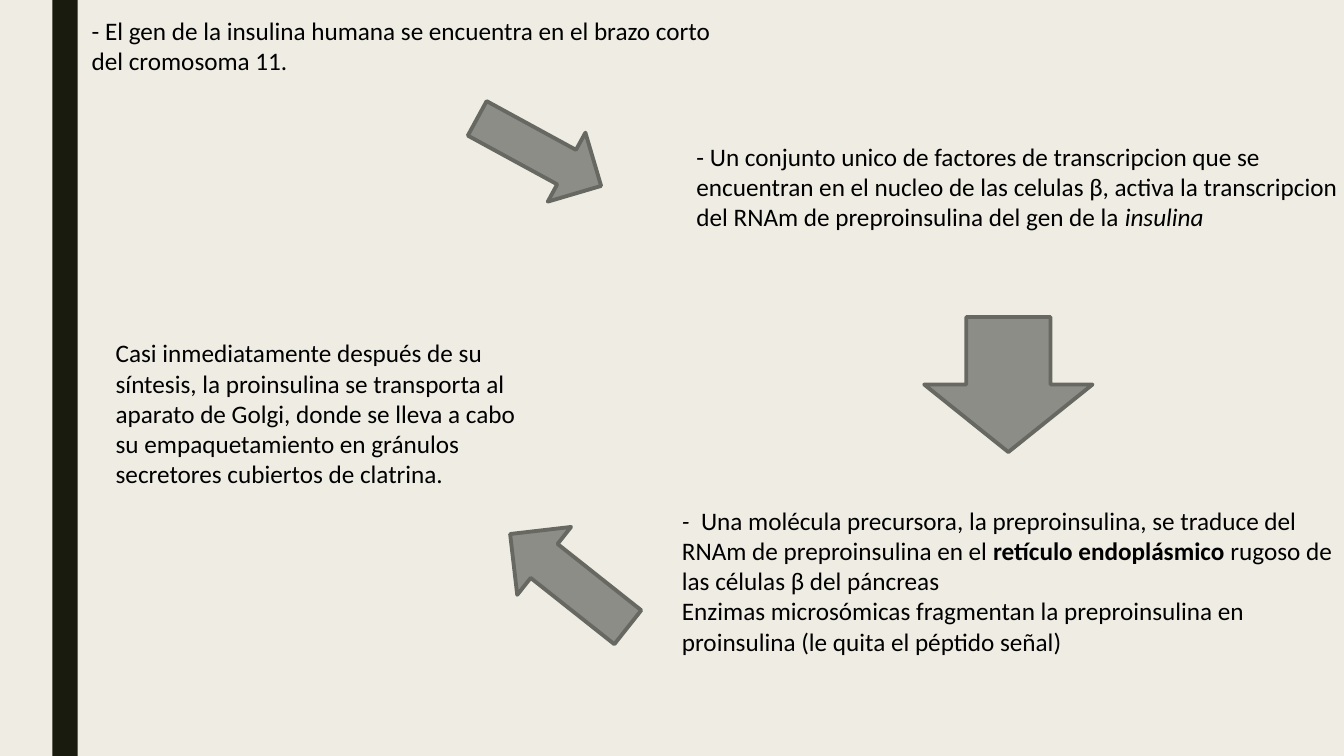
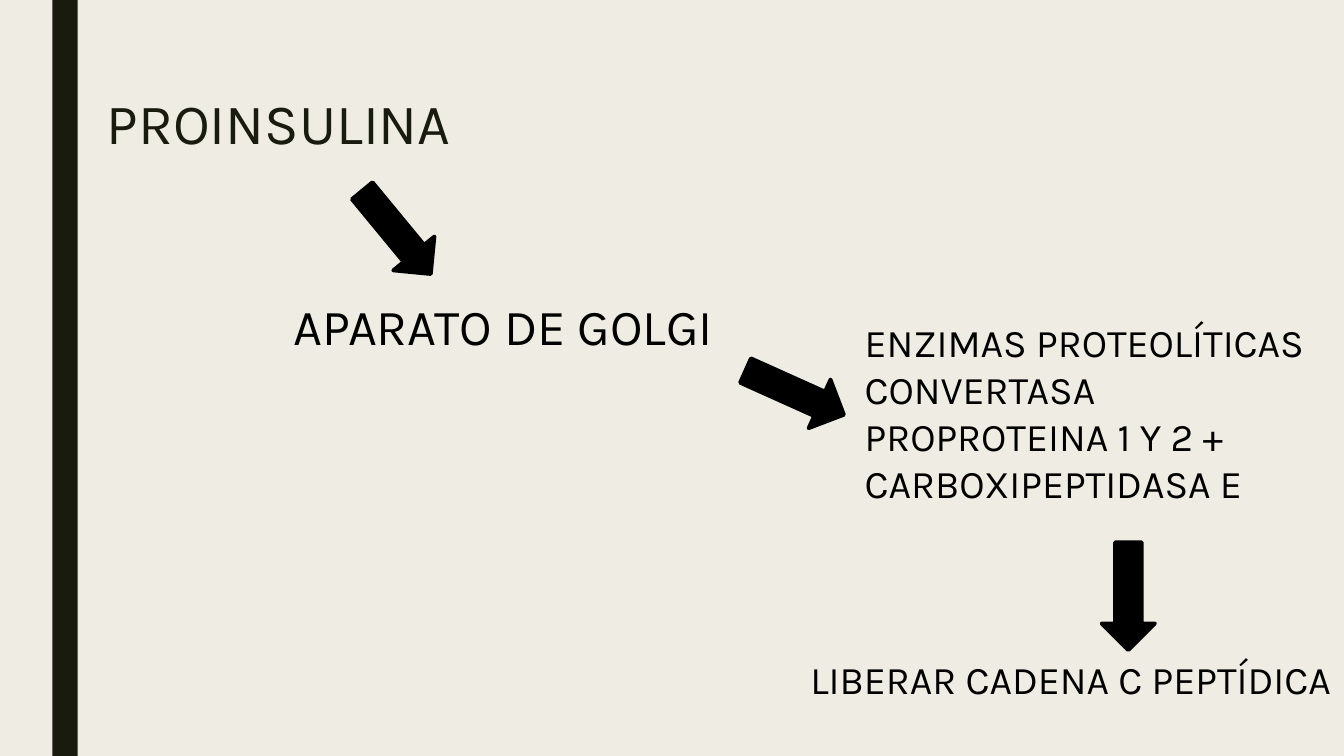
from pptx import Presentation
from pptx.dml.color import RGBColor
from pptx.enum import shapes, text
from pptx.util import Inches, Pt

# Shared look
PAPER = RGBColor(0xEF, 0xED, 0xE3)
DARK = RGBColor(0x19, 0x1B, 0x0E)
BLACK = RGBColor(0, 0, 0)
GRAY = RGBColor(0x8C, 0x8D, 0x86)
GRAY_EDGE = RGBColor(0x68, 0x68, 0x63)
BODY_FONT, LABEL_FONT = "Calibri", "Karla"
WIDTH, HEIGHT = Inches(13.333), Inches(7.5)
RIGHT = shapes.MSO_SHAPE.RIGHT_ARROW
DOWN = shapes.MSO_SHAPE.DOWN_ARROW
DOWN_SIZE = (3.97, 14.27)


def place(x, y, w, h):
    """Turn percentages of the slide into lengths."""
    return [int(size * share / 100)
            for size, share in zip((WIDTH, HEIGHT) * 2, (x, y, w, h))]


def add_block(slide, kind, box, fill):
    sp = slide.shapes.add_shape(kind, *place(*box))
    sp.shadow.inherit = False
    sp.fill.solid()
    sp.fill.fore_color.rgb = fill
    sp.line.fill.background()
    return sp


def add_slide(prs):
    slide = prs.slides.add_slide(prs.slide_layouts[6])
    slide.background.fill.solid()
    slide.background.fill.fore_color.rgb = PAPER
    add_block(slide, shapes.MSO_SHAPE.RECTANGLE, (3.9, 0, 1.87, 100), DARK)
    return slide


def add_arrow(slide, kind, box, angle, fill, edge):
    sp = add_block(slide, kind, box, fill)
    sp.rotation = angle
    sp.line.color.rgb = edge
    sp.line.width = Pt(2.75)


def add_text(slide, box, paragraphs, size, font, color=BLACK, wrap=True):
    """Each paragraph is a list of (wording, style), style "", "b" or "i"."""
    tf = slide.shapes.add_textbox(*place(*box)).text_frame
    tf.word_wrap = wrap
    for i, runs in enumerate(paragraphs):
        p = tf.add_paragraph() if i else tf.paragraphs[0]
        p.font.size, p.font.name = Pt(size), font
        p.font.color.rgb = color
        for wording, style in runs:
            r = p.add_run()
            r.text = wording
            if style:
                r.font.bold, r.font.italic = style == "b", style == "i"
    return tf


def add_label(slide, box, wording, size, color=BLACK, wrap=False):
    return add_text(slide, box, [[(wording, "")]], size, LABEL_FONT, color, wrap)


def build_synthesis(prs):
    slide = add_slide(prs)
    # Steps of the cycle
    steps = [
        ((6.08, 1.33, 50, 9.47), [
            [("- El gen de la insulina humana se encuentra en el brazo corto "
              "del cromosoma 11.", "")]]),
        ((51.08, 18, 50, 17.47), [
            [("- Un conjunto unico de factores de transcripcion que se", "")],
            [("encuentran en el nucleo de las celulas β, activa la "
              "transcripcion del RNAm de preproinsulina del gen de la ", ""),
             ("insulina", "i")]]),
        ((50, 66.13, 50, 21.6), [
            [("- ", "i"),
             (" Una molécula precursora, la preproinsulina, se traduce del "
              "RNAm de preproinsulina en el ", ""),
             ("retículo endoplásmico", "b"),
             (" rugoso de las células β del páncreas", "")],
            [("Enzimas microsómicas fragmentan la preproinsulina en", "")],
            [("proinsulina (le quita el péptido señal)", "")]]),
        ((7.87, 44, 32.02, 21.6), [
            [("Casi inmediatamente después de su síntesis, la proinsulina se "
              "transporta al aparato de Golgi, donde se lleva a cabo su "
              "empaquetamiento en gránulos secretores cubiertos de clatrina.",
              "")]]),
    ]
    for box, paragraphs in steps:
        add_text(slide, box, paragraphs, 18, BODY_FONT)
    # Arrows between steps
    for box, angle in [((34.87, 14.93, 10.5, 10.4), 28.6),
                       ((70, 39.73, 10.05, 22.27), 90),
                       ((36.75, 71.07, 11.17, 11.47), 218.4)]:
        add_arrow(slide, RIGHT, box, angle, GRAY, GRAY_EDGE)


def build_proinsulin(prs):
    slide = add_slide(prs)
    # Heading
    tf = add_label(slide, (7.2, 12.8, 43.12, 8.67), "PROINSULINA", 40.7,
                   DARK, wrap=True)
    tf.vertical_anchor = text.MSO_ANCHOR.MIDDLE
    p = tf.paragraphs[0]
    p.line_spacing, p.space_before, p.space_after = 0.74, Pt(10), Pt(2)
    # Stages
    add_label(slide, (21.07, 38.4, 33.6, 9.47), "APARATO DE GOLGI", 36)
    add_label(slide, (63.6, 41.47, 34.27, 26.53),
              "ENZIMAS PROTEOLÍTICAS CONVERTASA PROPROTEINA 1 Y 2 + "
              "CARBOXIPEPTIDASA E", 28, wrap=True)
    add_label(slide, (59.55, 86, 40.42, 7.6), "LIBERAR CADENA C PEPTÍDICA", 28)
    # Arrows between stages
    for corner, angle in [((27.52, 23.6), 320.5),
                          ((57.15, 44.8), 294.2),
                          ((81.97, 71.73), 0)]:
        add_arrow(slide, DOWN, corner + DOWN_SIZE, angle, BLACK, BLACK)


def main():
    prs = Presentation()
    prs.slide_width, prs.slide_height = WIDTH, HEIGHT
    build_synthesis(prs)
    build_proinsulin(prs)
    prs.save("out.pptx")


if __name__ == "__main__":
    main()
